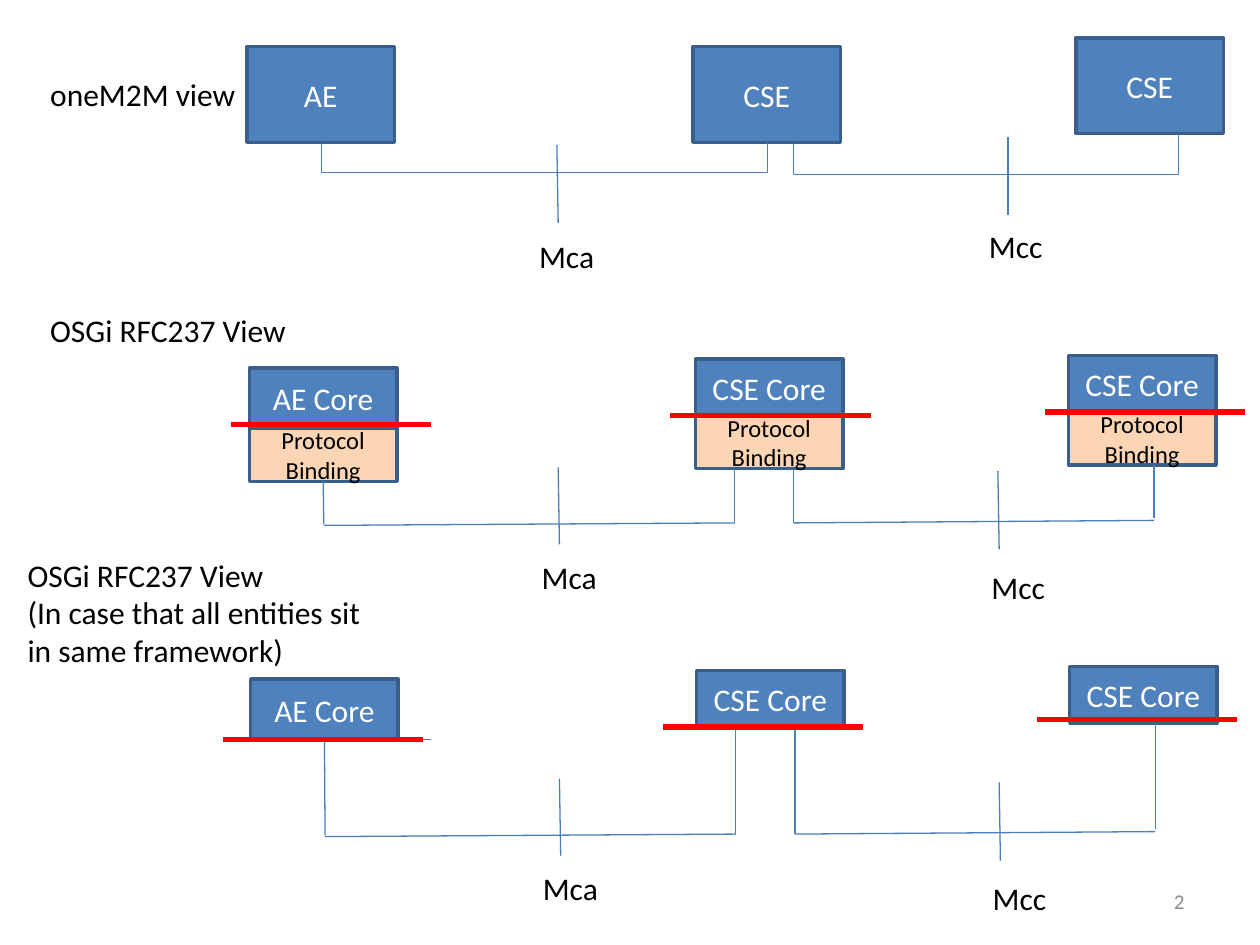
from dataclasses import dataclass

from lxml import etree
from pptx import Presentation
from pptx.dml.color import RGBColor
from pptx.enum.shapes import MSO_CONNECTOR, MSO_SHAPE
from pptx.enum.text import MSO_ANCHOR, PP_ALIGN
from pptx.oxml.ns import qn
from pptx.util import Inches, Pt

RECT = MSO_SHAPE.RECTANGLE
LINE, BENT = MSO_CONNECTOR.STRAIGHT, MSO_CONNECTOR.ELBOW
MID, TOP = MSO_ANCHOR.MIDDLE, MSO_ANCHOR.TOP
LEFT, CENTER, RIGHT = PP_ALIGN.LEFT, PP_ALIGN.CENTER, PP_ALIGN.RIGHT
BOTTOM = 2


@dataclass(frozen=True)
class Theme:
    font: str = "Calibri"
    body: int = 18
    small: int = 14
    note: int = 12
    core: str = "4F81BD"
    bind: str = "FCD5B5"
    edge: str = "3A5F8C"
    wire: str = "4B7EBC"
    bar: str = "FF0000"
    white: str = "FFFFFF"
    black: str = "000000"
    gray: str = "8C8C8C"


T = Theme()


def rgb(code):
    return RGBColor.from_string(code)


def write(frame, text, size=T.body, color=T.black, align=LEFT, anchor=TOP, wrap=True):
    frame.word_wrap = wrap
    frame.vertical_anchor = anchor
    frame.text = text
    for para in frame.paragraphs:
        para.alignment = align
        for run in para.runs:
            run.font.name = T.font
            run.font.size = Pt(size)
            run.font.color.rgb = rgb(color)


def label(slide, text, x, y, w, h=0.4, **style):
    box = slide.shapes.add_textbox(Inches(x), Inches(y), Inches(w), Inches(h))
    write(box.text_frame, text, **{"wrap": False, **style})


def block(slide, text, x, y, w, h, fill=T.core, **style):
    box = slide.shapes.add_shape(RECT, Inches(x), Inches(y), Inches(w), Inches(h))
    box.shadow.inherit = False
    box.fill.solid()
    box.fill.fore_color.rgb = rgb(fill)
    box.line.color.rgb = rgb(T.edge)
    box.line.width = Pt(2)
    look = {"color": T.white, "align": CENTER, "anchor": MID, **style}
    write(box.text_frame, text, **look)
    return box


def wire(slide, x1, y1, x2, y2, color=T.wire, width=0.75, kind=LINE):
    ends = [Inches(v) for v in (x1, y1, x2, y2)]
    link = slide.shapes.add_connector(kind, *ends)
    link.line.color.rgb = rgb(color)
    link.line.width = Pt(width)
    etree.SubElement(link._element.spPr, qn("a:effectLst"))
    return link


def elbow(slide, x1, x2, y, rise, drop, turn, flips, start=None, end=None):
    link = wire(slide, x1, y, x2, y, kind=BENT)
    if start:
        link.begin_connect(start, BOTTOM)
    if end:
        link.end_connect(end, BOTTOM)
    span = x2 - x1
    link.left, link.top = Inches((x1 + x2 - rise) / 2), Inches(y - span / 2)
    link.width, link.height = Inches(rise), Inches(span)
    props = link._element.spPr
    frame = props.find(qn("a:xfrm"))
    frame.set("rot", str(turn * 60000))
    for flip in flips:
        frame.set(flip, "1")
    guides = props.find(qn("a:prstGeom")).get_or_add_avLst()
    ratio = round(drop / rise * 100000)
    etree.SubElement(guides, qn("a:gd"), name="adj1", fmla=f"val {ratio}")


def overview(slide, x, y):
    app, hub, peer = [
        block(slide, text, x + dx, y + dy, 1.17, 0.76)
        for text, dx, dy in (("AE", 0, 0.07), ("CSE", 3.54, 0.07), ("CSE", 6.58, 0))
    ]
    elbow(slide, x + 0.59, x + 4.13, y + 0.83, 0.01, 0.25, 270, ["flipH"], app, hub)
    elbow(slide, x + 4.34, x + 7.39, y + 0.8, 0.07, -0.25, 90, ["flipH", "flipV"])
    wire(slide, x + 2.46, y + 0.85, x + 2.47, y + 1.47)
    wire(slide, x + 6.04, y + 0.79, x + 6.04, y + 1.41)
    label(slide, "Mca", x + 2.22, y + 1.53, 0.65)
    label(slide, "Mcc", x + 5.79, y + 1.45, 0.63)


def stack(slide, x, y, bound, bars):
    feet = []
    for text, dx, dy, h in (
        ("AE Core", 0, 0.1, 0.48),
        ("CSE Core", 3.54, 0.03, 0.45),
        ("CSE Core", 6.5, 0, 0.45),
    ):
        foot = block(slide, text, x + dx, y + dy, 1.17, h)
        low = dy + h
        if bound:
            foot = block(slide, "Protocol Binding", x + dx, y + low, 1.17, 0.42,
                         fill=T.bind, size=T.small, color=T.black)
            low += 0.42
        feet.append((foot, y + low))

    (app, left), (_, hub), (_, right) = feet
    leg = wire(slide, x + 0.59, left, x + 0.59, y + 1.34)
    leg.begin_connect(app, BOTTOM)
    for dx, top, end in ((3.85, hub, 1.33), (4.32, hub, 1.33), (7.18, right, 1.29)):
        wire(slide, x + dx, top, x + dx, y + end)
    wire(slide, x + 0.59, y + 1.35, x + 3.85, y + 1.33)
    wire(slide, x + 4.32, y + 1.33, x + 7.18, y + 1.31)
    wire(slide, x + 2.45, y + 0.89, x + 2.46, y + 1.5)
    wire(slide, x + 5.94, y + 0.92, x + 5.95, y + 1.54)
    label(slide, "Mca", x + 2.22, y + 1.56, 0.65)
    label(slide, "Mcc", x + 5.79, y + 1.64, 0.63)
    if not bound:
        wire(slide, x - 0.16, y + 0.58, x + 1.43, y + 0.58)
    for dx, dy in bars:
        wire(slide, x + dx, y + dy, x + dx + 1.59, y + dy, T.bar, 3)


def main():
    deck = Presentation()
    deck.slide_width, deck.slide_height = Inches(10), Inches(7.5)
    slide = deck.slides.add_slide(deck.slide_layouts[6])

    label(slide, "oneM2M view", 0.3, 0.55, 1.69)
    overview(slide, 1.96, 0.3)

    label(slide, "OSGi RFC237 View", 0.3, 2.42, 2.1)
    stack(slide, 1.98, 2.82, True, ((-0.15, 0.55), (3.34, 0.48), (6.31, 0.45)))

    label(slide, "OSGi RFC237 View\n(In case that all entities sit\nin same framework)",
          0.12, 4.36, 2.88, 1.01)
    stack(slide, 1.99, 5.29, False, ((-0.22, 0.58), (3.27, 0.48), (6.24, 0.42)))

    label(slide, "2", 7.17, 6.95, 2.33, size=T.note, color=T.gray,
          align=RIGHT, anchor=MID, wrap=True)
    deck.save("out.pptx")


if __name__ == "__main__":
    main()
